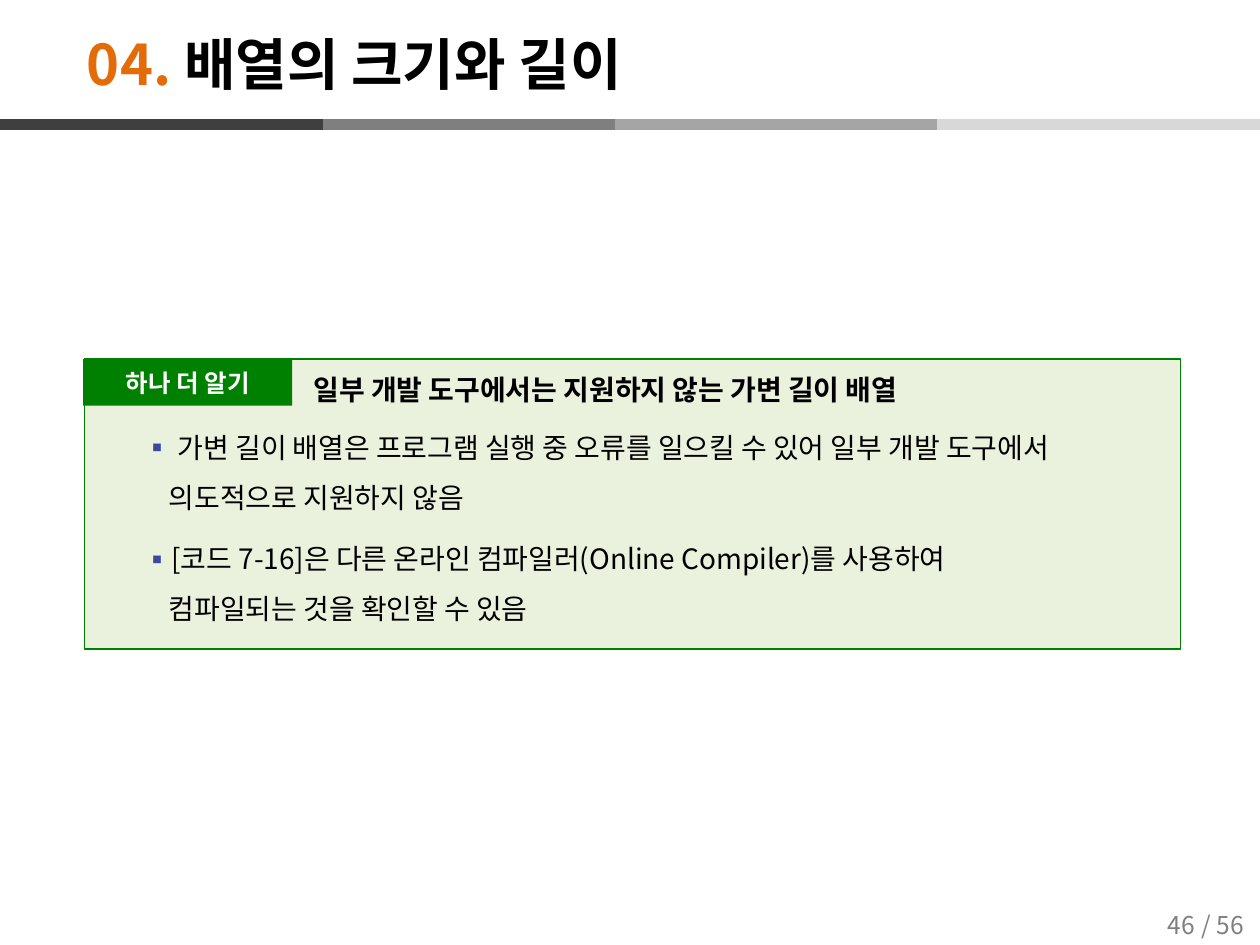
from lxml.etree import SubElement
from pptx import Presentation
from pptx.dml.color import RGBColor
from pptx.enum.shapes import MSO_CONNECTOR, MSO_SHAPE
from pptx.enum.text import MSO_ANCHOR, MSO_AUTO_SIZE, PP_ALIGN
from pptx.oxml.ns import qn
from pptx.util import Inches, Pt

FONT = "Noto Sans CJK KR"
BLACK = RGBColor(0x00, 0x00, 0x00)
WHITE = RGBColor(0xFF, 0xFF, 0xFF)
GRAY = RGBColor(0x7F, 0x7F, 0x7F)
ORANGE = RGBColor(0xE3, 0x6C, 0x09)
GREEN = RGBColor(0x00, 0x80, 0x00)
PALE_GREEN = RGBColor(0xEA, 0xF1, 0xDD)
BULLET_COLOR = "3C479D"

TITLE_PARTS = [("04. ", ORANGE), ("배열의 크기와 길이", BLACK)]
LABEL = "하나 더 알기"
HEADING = "일부 개발 도구에서는 지원하지 않는 가변 길이 배열"
NOTES = [
    " 가변 길이 배열은 프로그램 실행 중 오류를 일으킬 수 있어 일부 개발 도구에서 의도적으로 지원하지 않음",
    "[코드 7-16]은 다른 온라인 컴파일러(Online Compiler)를 사용하여 \v컴파일되는 것을 확인할 수 있음",
]
PAGE_PARTS = [("/ 56", 9.35), ("46", 9.02)]
RULE_TOP = 0.99
RULE_EDGES = [0, 2.56, 4.88, 7.44, 10]
RULE_COLORS = [RGBColor(0x3F, 0x3F, 0x3F), GRAY, RGBColor(0xA5, 0xA5, 0xA5), RGBColor(0xD8, 0xD8, 0xD8)]


def format_run(run, size, color, bold=False):
    run.font.name = FONT
    run.font.size = Pt(size)
    run.font.bold = bold
    run.font.color.rgb = color
    SubElement(run.font._element, qn("a:ea"), typeface=FONT)


def place(shape, left, top, width, height):
    shape.left, shape.top = Inches(left), Inches(top)
    shape.width, shape.height = Inches(width), Inches(height)


def write_line(shape, text, size, color, bold=False, alignment=PP_ALIGN.CENTER):
    frame = shape.text_frame
    frame.word_wrap = True
    frame.vertical_anchor = MSO_ANCHOR.MIDDLE
    frame.text = text
    paragraph = frame.paragraphs[0]
    paragraph.alignment = alignment
    format_run(paragraph.runs[0], size, color, bold)
    return paragraph


def add_text(slide, box, *line, **options):
    return write_line(slide.shapes.add_textbox(*map(Inches, box)), *line, **options)


def add_rectangle(slide, box, fill):
    shape = slide.shapes.add_shape(MSO_SHAPE.RECTANGLE, *map(Inches, box))
    shape.shadow.inherit = False
    shape.fill.solid()
    shape.fill.fore_color.rgb = fill
    shape.line.fill.background()
    return shape


def add_rule(slide):
    for start, end, color in zip(RULE_EDGES, RULE_EDGES[1:], RULE_COLORS):
        line = slide.shapes.add_connector(
            MSO_CONNECTOR.STRAIGHT, Inches(start), Inches(RULE_TOP), Inches(end), Inches(RULE_TOP))
        line.line.color.rgb = color
        line.line.width = Pt(6)
        SubElement(line.element.spPr, qn("a:effectLst"))


def fill_title(title):
    place(title, 0.59, 0.2, 7.48, 0.6)
    frame = title.text_frame
    frame.auto_size = MSO_AUTO_SIZE.NONE
    frame.vertical_anchor = MSO_ANCHOR.MIDDLE
    paragraph = frame.paragraphs[0]
    paragraph.alignment = PP_ALIGN.LEFT
    for text, color in TITLE_PARTS:
        run = paragraph.add_run()
        run.text = text
        format_run(run, 32, color, True)


def fill_notes(body):
    place(body, 0.75, 3.23, 8.54, 1.49)
    frame = body.text_frame
    frame.auto_size = MSO_AUTO_SIZE.NONE
    frame.vertical_anchor = MSO_ANCHOR.TOP
    for index, note in enumerate(NOTES):
        paragraph = frame.add_paragraph() if index else frame.paragraphs[0]
        paragraph.text = note
        paragraph.level = 1
        paragraph.line_spacing = 1.5
        paragraph.space_before = Pt(6)
        properties = paragraph._p.get_or_add_pPr()
        properties.set("marL", str(Inches(0.49)))
        properties.set("indent", str(Inches(-0.2)))
        color = SubElement(properties, qn("a:buClr"))
        SubElement(color, qn("a:srgbClr"), val=BULLET_COLOR)
        SubElement(properties, qn("a:buFont"), typeface=FONT)
        SubElement(properties, qn("a:buChar"), char="▪")
        for run in paragraph.runs:
            format_run(run, 16, BLACK)


def main():
    presentation = Presentation()
    presentation.slide_width, presentation.slide_height = Inches(10), Inches(7.5)
    slide = presentation.slides.add_slide(presentation.slide_layouts[1])
    title, body = slide.shapes.title, slide.placeholders[1]

    add_rule(slide)
    for text, left in PAGE_PARTS:
        add_text(slide, (left, 7.14, 0.71, 0.39), text, 14, GRAY)
    fill_title(title)

    panel = add_rectangle(slide, (0.67, 2.85, 8.7, 2.3), PALE_GREEN)
    panel.line.color.rgb = GREEN
    panel.line.width = Pt(1)
    body.element.addprevious(panel.element)
    fill_notes(body)

    label = add_rectangle(slide, (0.66, 2.85, 1.66, 0.37), GREEN)
    write_line(label, LABEL, 14, WHITE, True)
    heading = add_text(slide, (2.39, 2.87, 6.05, 0.3), HEADING, 16, BLACK, bold=True, alignment=PP_ALIGN.LEFT)
    heading.line_spacing = 1.5
    presentation.save("out.pptx")


if __name__ == "__main__":
    main()
